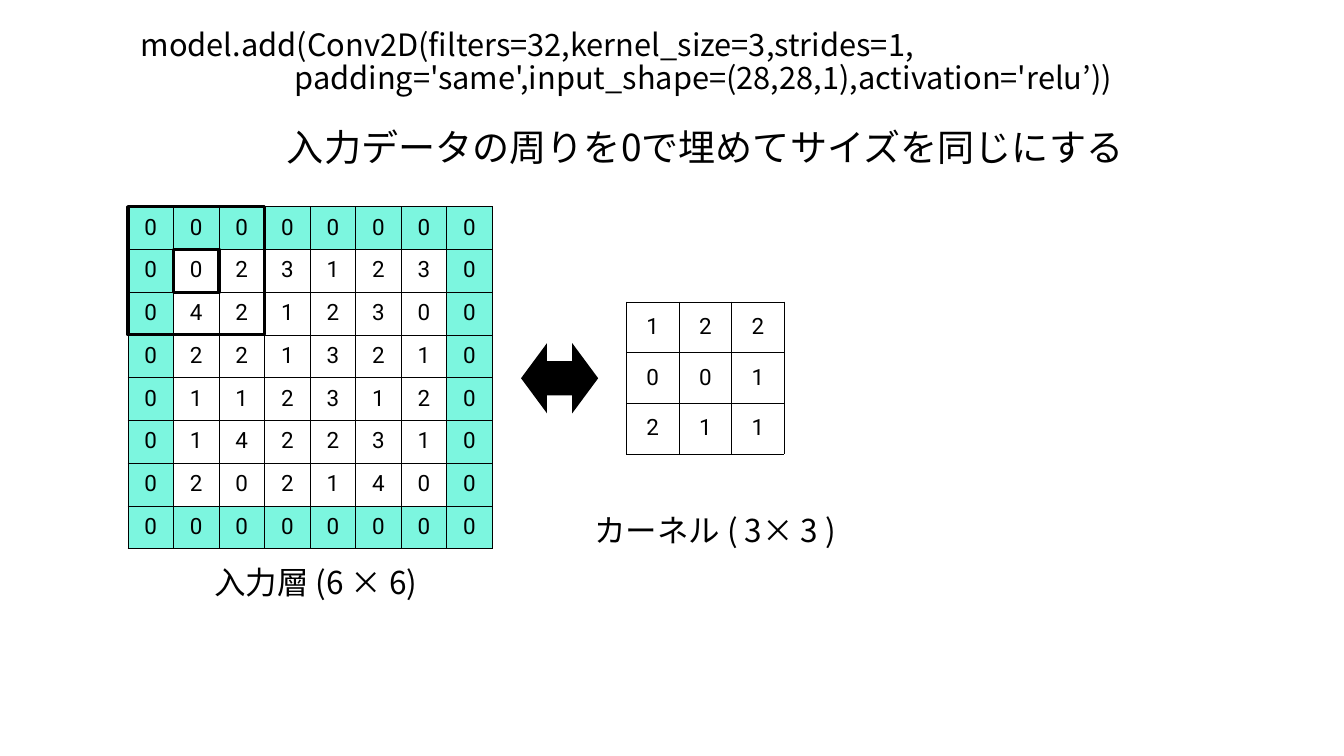
from pptx import Presentation, util as u
from pptx.dml.color import RGBColor
from pptx.enum import shapes, text
from pptx.oxml.ns import qn
from lxml import etree

TITLE = "入力データの周りを0で埋めてサイズを同じにする"
INPUT_CAPTION = "入力層 (6 × 6)"
KERNEL_CAPTION = "カーネル ( 3× 3 )"
CODE = [
    "model.add(Conv2D(filters=32,kernel_size=3,strides=1,",
    "padding='same',input_shape=(28,28,1),activation='relu’))",
]
CODE_INDENT_EMS = 5
INPUT = ["023123", "421230", "221321", "112312", "142231", "202140"]
KERNEL = ["122", "001", "211"]

THEME = {
    "ink": "000000", "cell": "FFFFFF", "padding": "7CF6DF",
    "text_font": "Noto Sans CJK JP", "number_font": "Roboto",
    "title": 53, "caption": 45, "code": 44, "number": 32,
    "grid_line": 1, "window_line": 4.5, "leading": 0.9, "inset": 0.06,
}

WIDTH, HEIGHT = u.Inches(26.67), u.Inches(15)
PLACES = {
    "title": (20.7, 16.67, 63.55, 6.07),
    "input_caption": (15.71, 74.67, 16.31, 5.27),
    "kernel": (46.61, 39.93, 11.74, 20.13),
    "kernel_caption": (43.98, 67.73, 19.46, 5.27),
    "padded": (9.52, 27.33, 27.11, 45.27),
    "arrow": (38.77, 45.4, 5.74, 9.27),
    "code": (10.09, 3.6, 79.12, 9.53),
}


def place(part):
    sizes = (WIDTH, HEIGHT, WIDTH, HEIGHT)
    return [round(size * share / 100) for size, share in zip(sizes, PLACES[part])]


def color(role):
    return RGBColor.from_string(THEME[role])


def style(paragraph, size, font, align=None):
    paragraph.line_spacing = THEME["leading"]
    paragraph.alignment = align
    paragraph.font.size = u.Pt(THEME[size])
    paragraph.font.color.rgb = color("ink")
    paragraph.font.name = THEME[font]
    east_asian = etree.SubElement(paragraph.font._element, qn("a:ea"))
    east_asian.set("typeface", THEME[font])


def set_insets(holder):
    for side in ("left", "top", "right", "bottom"):
        setattr(holder, "margin_" + side, u.Inches(THEME["inset"]))


def add_caption(slide, part, words, size, align=None):
    frame = slide.shapes.add_textbox(*place(part)).text_frame
    set_insets(frame)
    frame.word_wrap = False
    frame.auto_size = text.MSO_AUTO_SIZE.SHAPE_TO_FIT_TEXT
    frame.vertical_anchor = text.MSO_ANCHOR.MIDDLE
    frame.text = words
    style(frame.paragraphs[0], size, "text_font", align)


def add_code(slide):
    frame = slide.shapes.add_textbox(*place("code")).text_frame
    frame.word_wrap = True
    frame.auto_size = text.MSO_AUTO_SIZE.SHAPE_TO_FIT_TEXT
    frame.text = "\n".join(CODE)
    for paragraph in frame.paragraphs:
        style(paragraph, "code", "text_font")
    indent = u.Pt(CODE_INDENT_EMS * THEME["code"])
    frame.paragraphs[1]._p.get_or_add_pPr().set("marL", str(indent))


def add_borders(cell):
    properties = cell._tc.get_or_add_tcPr()
    for position, side in enumerate(("lnL", "lnR", "lnT", "lnB")):
        line = etree.Element(qn("a:" + side), w=str(u.Pt(THEME["grid_line"])))
        fill = etree.SubElement(line, qn("a:solidFill"))
        etree.SubElement(fill, qn("a:srgbClr"), val=THEME["ink"])
        properties.insert(position, line)


def add_matrix(slide, part, rows, border_role):
    count = len(rows)
    left, top, width, height = place(part)
    table = slide.shapes.add_table(count, count, left, top, width, height).table
    table.first_row = table.horz_banding = False
    for i, digits in enumerate(rows):
        table.rows[i].height = height // count
        table.columns[i].width = width // count
        for j, digit in enumerate(digits):
            cell = table.cell(i, j)
            cell.text = digit
            set_insets(cell)
            cell.vertical_anchor = text.MSO_ANCHOR.MIDDLE
            style(cell.text_frame.paragraphs[0], "number", "number_font",
                  text.PP_ALIGN.CENTER)
            on_border = {i, j} & {0, count - 1}
            cell.fill.solid()
            cell.fill.fore_color.rgb = color(border_role if on_border else "cell")
            add_borders(cell)


def add_window(slide, first, span, count):
    left, top, width, height = place("padded")
    column, row = width / count, height / count
    window = slide.shapes.add_shape(
        shapes.MSO_SHAPE.RECTANGLE, round(left + first * column),
        round(top + first * row), round(span * column), round(span * row))
    window.shadow.inherit = False
    window.fill.background()
    window.line.color.rgb = color("ink")
    window.line.width = u.Pt(THEME["window_line"])


def add_arrow(slide):
    arrow = slide.shapes.add_shape(shapes.MSO_SHAPE.LEFT_RIGHT_ARROW, *place("arrow"))
    arrow.adjustments[0], arrow.adjustments[1] = 0.49, 0.37
    arrow.shadow.inherit = False
    arrow.fill.solid()
    arrow.fill.fore_color.rgb = color("ink")
    arrow.line.fill.background()


def main():
    deck = Presentation()
    deck.slide_width, deck.slide_height = WIDTH, HEIGHT
    slide = deck.slides.add_slide(deck.slide_layouts[6])

    edge = "0" * (len(INPUT) + 2)
    padded = [edge, *(f"0{digits}0" for digits in INPUT), edge]

    add_caption(slide, "title", TITLE, "title", text.PP_ALIGN.CENTER)
    add_caption(slide, "input_caption", INPUT_CAPTION, "caption")
    add_matrix(slide, "kernel", KERNEL, "cell")
    add_caption(slide, "kernel_caption", KERNEL_CAPTION, "caption")
    add_matrix(slide, "padded", padded, "padding")
    add_arrow(slide)
    add_code(slide)
    add_window(slide, 1, 1, len(padded))
    add_window(slide, 0, len(KERNEL), len(padded))
    deck.save("out.pptx")


if __name__ == "__main__":
    main()
